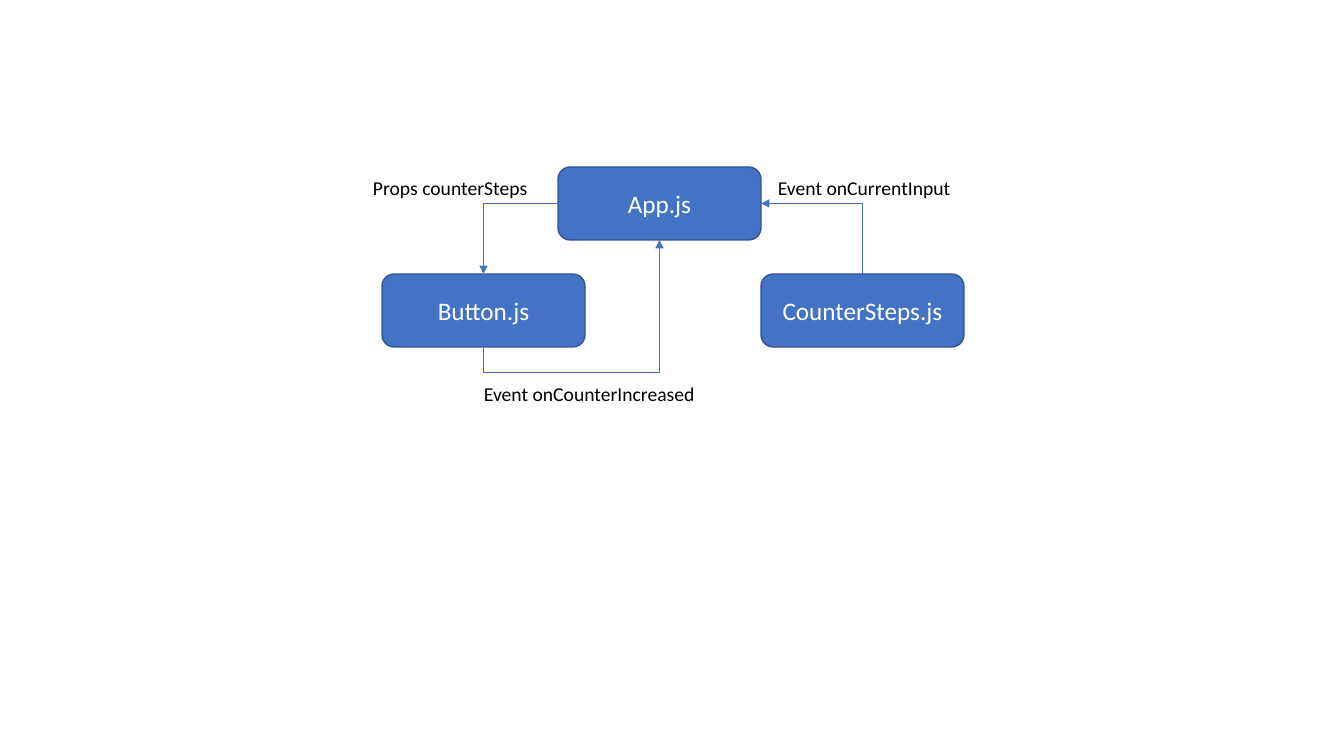
import dataclasses

import pptx
import pptx.dml.color
import pptx.enum.shapes
import pptx.enum.text
import pptx.oxml
import pptx.oxml.ns
import pptx.util

EMU_PER_PIXEL = 914400 / 100.8
SLIDE_SIZE = (1344, 756)
TOP, LEFT, BOTTOM, RIGHT = range(4)


@dataclasses.dataclass(frozen=True)
class Theme:
    """Colours and type sizes of the diagram."""
    font: str = "Calibri"
    component_fill: str = "4472C4"
    component_edge: str = "325491"
    component_text: str = "FFFFFF"
    label_text: str = "000000"
    component_size: int = 18
    label_size: int = 14
    edge_width: float = 1
    flow_width: float = 0.5


def px(pixels):
    """Turn pixels into EMU."""
    return pptx.util.Emu(round(pixels * EMU_PER_PIXEL))


def rgb(code):
    """Turn a hex code into a colour."""
    return pptx.dml.color.RGBColor.from_string(code)


class Diagram:
    """Draws components, data flows and labels on one slide."""

    def __init__(self, slide, theme):
        """Keep the slide and its style."""
        self.shapes = slide.shapes
        self.theme = theme

    def set_text(self, frame, wording, size, colour, align):
        """Put one styled paragraph in a text frame."""
        paragraph = frame.paragraphs[0]
        paragraph.text = wording
        paragraph.alignment = align
        paragraph.font.name = self.theme.font
        paragraph.font.size = pptx.util.Pt(size)
        paragraph.font.color.rgb = rgb(colour)

    def stroke(self, line, colour, width):
        """Style a line."""
        line.color.rgb = rgb(colour)
        line.width = pptx.util.Pt(width)

    def component(self, wording, left, top, width=203, height=73):
        """Add a rounded box for a source file."""
        theme = self.theme
        box = self.shapes.add_shape(
            pptx.enum.shapes.MSO_SHAPE.FLOWCHART_ALTERNATE_PROCESS,
            px(left), px(top), px(width), px(height))
        box.shadow.inherit = False
        box.fill.solid()
        box.fill.fore_color.rgb = rgb(theme.component_fill)
        self.stroke(box.line, theme.component_edge, theme.edge_width)
        box.text_frame.vertical_anchor = pptx.enum.text.MSO_ANCHOR.MIDDLE
        self.set_text(box.text_frame, wording, theme.component_size,
                      theme.component_text, pptx.enum.text.PP_ALIGN.CENTER)
        return box

    def label(self, wording, left, top, width, height=34):
        """Add an unwrapped caption for a flow."""
        frame = self.shapes.add_textbox(
            px(left), px(top), px(width), px(height)).text_frame
        frame.word_wrap = False
        frame.auto_size = pptx.enum.text.MSO_AUTO_SIZE.SHAPE_TO_FIT_TEXT
        self.set_text(frame, wording, self.theme.label_size,
                      self.theme.label_text, pptx.enum.text.PP_ALIGN.LEFT)

    def flow(self, source, source_side, target, target_side, turn, flips, drop=None):
        """Join two components with a bent arrow.

        The turn is in degrees; a drop makes the arrow first run that many
        pixels away from its target.
        """
        arrow = self.shapes.add_connector(
            pptx.enum.shapes.MSO_CONNECTOR.ELBOW, 0, 0, 0, 0)
        arrow.begin_connect(source, source_side)
        arrow.end_connect(target, target_side)
        self.stroke(arrow.line, self.theme.component_fill, self.theme.flow_width)
        self.orient(arrow, turn, flips)

        properties = arrow._element.spPr
        geometry = properties.prstGeom
        if drop is None:
            geometry.set("prst", "bentConnector2")
        else:
            bend = round(-100000 * px(drop) / arrow.width)
            guide = pptx.oxml.ns.qn("a:gd")
            geometry.get_or_add_avLst().append(
                geometry.makeelement(guide, {"name": "adj1", "fmla": f"val {bend}"}))
        head = pptx.oxml.ns.qn("a:tailEnd")
        outline = properties.find(pptx.oxml.ns.qn("a:ln"))
        outline.append(outline.makeelement(head, {"type": "triangle"}))
        properties.append(properties.makeelement(pptx.oxml.ns.qn("a:effectLst"), {}))

    def orient(self, arrow, turn, flips):
        """Turn and flip an arrow about its centre, keeping its end points."""
        left, right = sorted((arrow.begin_x, arrow.end_x))
        top, bottom = sorted((arrow.begin_y, arrow.end_y))
        width, height = right - left, bottom - top
        if turn % 180:
            width, height = height, width
        arrow.left = (left + right - width) // 2
        arrow.top = (top + bottom - height) // 2
        arrow.width, arrow.height = width, height
        frame = arrow._element.spPr.xfrm
        frame.set("rot", str(turn * 60000))
        frame.set("flipH", str(int("h" in flips)))
        frame.set("flipV", str(int("v" in flips)))


def main():
    """Build and save the component diagram."""
    deck = pptx.Presentation()
    deck.slide_width, deck.slide_height = map(px, SLIDE_SIZE)
    diagram = Diagram(deck.slides.add_slide(deck.slide_layouts[6]), Theme())

    app = diagram.component("App.js", 558, 167)
    counter_steps = diagram.component("CounterSteps.js", 761, 274)
    button = diagram.component("Button.js", 382, 274)

    diagram.flow(app, LEFT, button, TOP, 180, "v")
    diagram.flow(counter_steps, TOP, app, RIGHT, 270, "v")
    diagram.flow(button, BOTTOM, app, BOTTOM, 90, "hv", drop=25)

    diagram.label("Event onCurrentInput", 768, 171, 195)
    diagram.label("Props counterSteps", 363, 171, 176)
    diagram.label("Event onCounterIncreased", 474, 377, 234)
    deck.save("out.pptx")


main()
